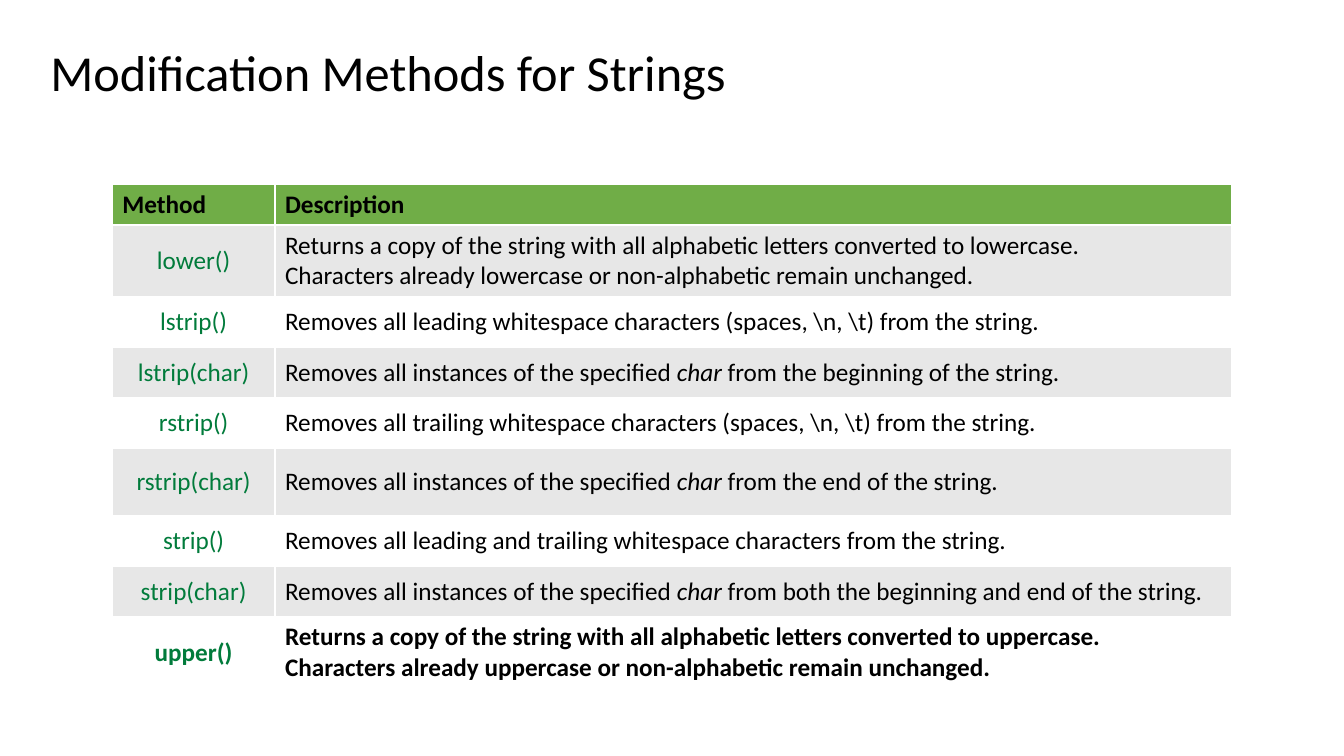
import pptx
import pptx.util
import pptx.dml.color
import pptx.enum.text

Cm = pptx.util.Cm
Pt = pptx.util.Pt
RGBColor = pptx.dml.color.RGBColor
PP_ALIGN = pptx.enum.text.PP_ALIGN
MIDDLE = pptx.enum.text.MSO_ANCHOR.MIDDLE

BLACK = RGBColor(0x00, 0x00, 0x00)
WHITE = RGBColor(0xFF, 0xFF, 0xFF)
GREEN = RGBColor(0x70, 0xAD, 0x47)
DARK_GREEN = RGBColor(0x01, 0x7B, 0x3B)
GREY = RGBColor(0xE7, 0xE7, 0xE7)

METHODS = [
    ("lower()", 1.81,
     ["Returns a copy of the string with all alphabetic letters converted to lowercase.",
      "Characters already lowercase or non-alphabetic remain unchanged."]),
    ("lstrip()", 1.27,
     [r"Removes all leading whitespace characters (spaces, \n, \t) from the string."]),
    ("lstrip(char)", 1.27,
     ["Removes all instances of the specified *char* from the beginning of the string."]),
    ("rstrip()", 1.27,
     [r"Removes all trailing whitespace characters (spaces, \n, \t) from the string."]),
    ("rstrip(char)", 1.71,
     ["Removes all instances of the specified *char* from the end of the string."]),
    ("strip()", 1.27,
     ["Removes all leading and trailing whitespace characters from the string."]),
    ("strip(char)", 1.27,
     ["Removes all instances of the specified *char* from both the beginning and end of the string."]),
    ("upper()", 1.81,
     ["Returns a copy of the string with all alphabetic letters converted to uppercase.",
      "Characters already uppercase or non-alphabetic remain unchanged."]),
]


class SlideBuilder:
    font = "Calibri"
    title_size = Pt(36)
    table_size = Pt(18)

    def __init__(self, s):
        self.s = s

    def style(self, r, size, color, bold=False, italic=False):
        r.font.name = self.font
        r.font.size = size
        r.font.color.rgb = color
        r.font.bold = bold
        r.font.italic = italic

    def title(self, text, left, top, width, height):
        sp = self.s.shapes.add_textbox(Cm(left), Cm(top), Cm(width), Cm(height))
        tf = sp.text_frame
        tf.word_wrap = True
        tf.vertical_anchor = MIDDLE
        tf.text = text
        p = tf.paragraphs[0]
        p.line_spacing = 0.9
        self.style(p.runs[0], self.title_size, BLACK)

    def cell(self, cell, lines, fill, color=BLACK, bold=False, align=PP_ALIGN.LEFT):
        cell.fill.solid()
        cell.fill.fore_color.rgb = fill
        cell.vertical_anchor = MIDDLE
        tf = cell.text_frame
        tf.text = "\n".join(line.replace("*", "") for line in lines)
        for p, line in zip(tf.paragraphs, lines):
            p.alignment = align
            parts = line.split("*")
            p.runs[0].text = parts[0]
            for part in parts[1:]:
                p.add_run().text = part
            for i, r in enumerate(p.runs):
                self.style(r, self.table_size, color, bold, italic=i % 2 == 1)

    def table(self, header, methods, left, top, widths, header_height):
        heights = [header_height] + [height for _, height, _ in methods]
        frame = self.s.shapes.add_table(len(heights), len(widths), Cm(left), Cm(top),
                                        Cm(sum(widths)), Cm(sum(heights)))
        table = frame.table
        for column, width in zip(table.columns, widths):
            column.width = Cm(width)
        for row, height in zip(table.rows, heights):
            row.height = Cm(height)
        for i, text in enumerate(header):
            self.cell(table.cell(0, i), [text], GREEN, bold=True)
        for i, (name, _, lines) in enumerate(methods, start=1):
            fill = GREY if i % 2 else WHITE
            bold = i == len(methods)
            self.cell(table.cell(i, 0), [name], fill, DARK_GREEN, bold, PP_ALIGN.CENTER)
            self.cell(table.cell(i, 1), lines, fill, bold=bold)


def main():
    prs = pptx.Presentation()
    prs.slide_width = Cm(33.87)
    prs.slide_height = Cm(19.05)
    builder = SlideBuilder(prs.slides.add_slide(prs.slide_layouts[6]))
    builder.title("Modification Methods for Strings", 1.02, 0.61, 29.21, 2.59)
    builder.table(["Method", "Description"], METHODS, 2.83, 4.64, [4.1, 24.11], 1.03)
    prs.save("out.pptx")


if __name__ == "__main__":
    main()
